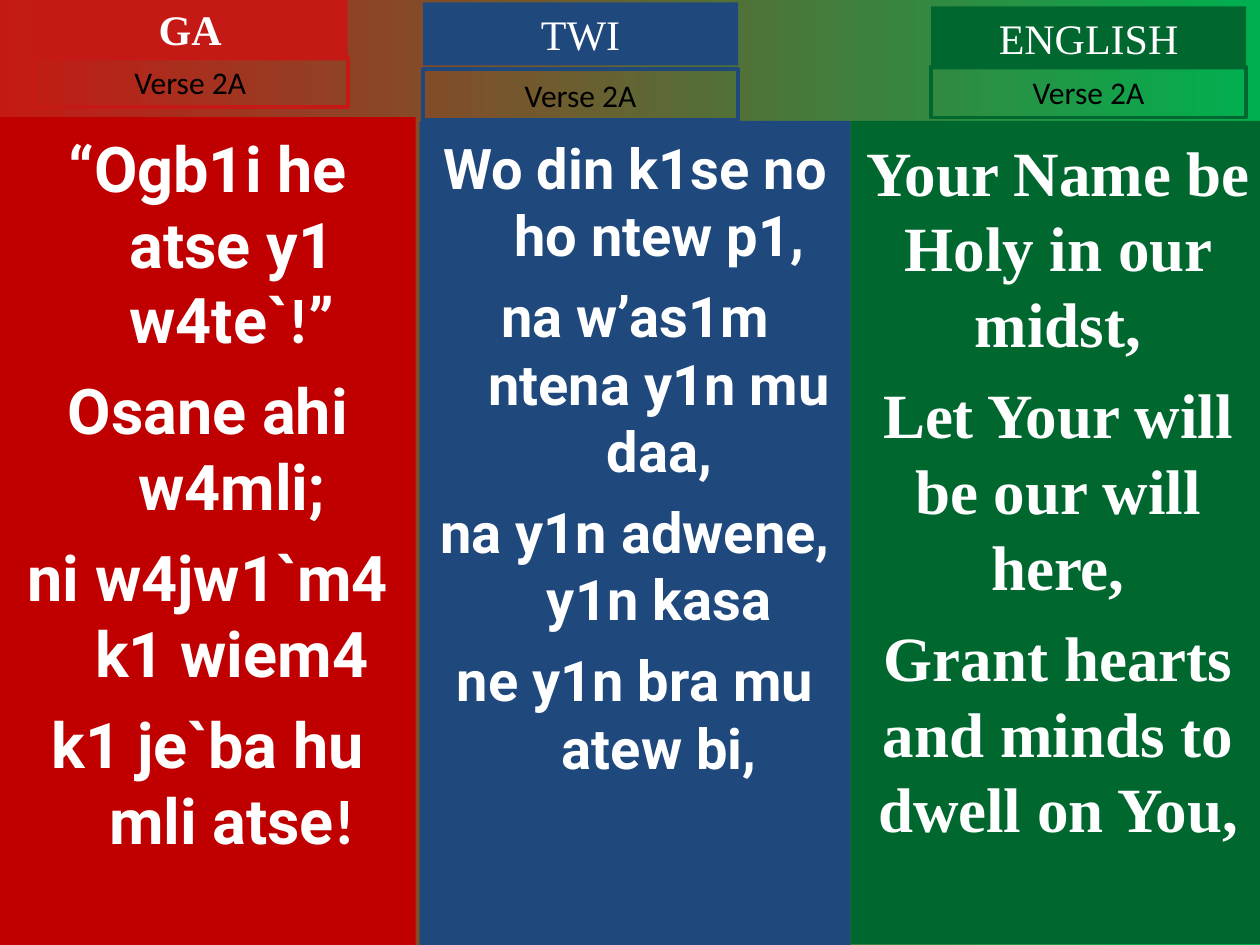
from pptx import Presentation
from pptx.dml.color import RGBColor
from pptx.enum.shapes import MSO_SHAPE
from pptx.enum.text import MSO_ANCHOR, MSO_AUTO_SIZE, PP_ALIGN
from pptx.util import Cm, Pt

RECTANGLE = MSO_SHAPE.RECTANGLE
TOP = MSO_ANCHOR.TOP
CENTER = PP_ALIGN.CENTER
GROW = MSO_AUTO_SIZE.SHAPE_TO_FIT_TEXT

COLORS = {
    "red": "C00000",
    "bright red": "C51915",
    "blue": "1F497D",
    "green": "00682F",
    "bright green": "00B050",
    "white": "FFFFFF",
    "black": "000000",
}
SERIF, SANS, BODY = "Times New Roman", "Calibri", "Roboto"
TAG_WIDTH, HEADING_HEIGHT, VERSE_HEIGHT = 6.35, 1.27, 1.02
HANGING = 0.97

# Boxes are (left, top, width, height) in cm; a verse line is a list of (text, font) runs
LANGUAGES = [
    {
        "name": "GA", "bold_name": True, "tag_color": "bright red",
        "tag_left": 0.66, "heading_top": -0.05, "verse_top": 1.14,
        "column": (0, 2.36, 8.38, 16.69), "column_color": "red",
        "size": 36, "space": 9, "indent": HANGING,
        "lines": [
            [("“Ogb1i he atse y1 w4te`", BODY), ("!", SANS), ("”", BODY)],
            [("Osane ahi w4mli;", BODY)],
            [("ni w4jw1`m4 k1 wiem4", BODY)],
            [("k1 je`ba hu mli atse", BODY), ("!", SANS)],
        ],
    },
    {
        "name": "TWI", "bold_name": False, "tag_color": "blue",
        "tag_left": 8.53, "heading_top": 0.05, "verse_top": 1.4,
        "column": (8.46, 2.44, 8.69, 16.61), "column_color": "blue",
        "size": 32, "space": 8, "indent": HANGING,
        "lines": [
            [("Wo din k1se no ho ntew p1,", BODY)],
            [("na w’as1m ntena y1n mu daa,", BODY)],
            [("na y1n adwene, y1n kasa", BODY)],
            [("ne y1n bra mu atew bi,", BODY)],
        ],
    },
    {
        "name": "ENGLISH", "bold_name": False, "tag_color": "green",
        "tag_left": 18.77, "heading_top": 0.13, "verse_top": 1.35,
        "column": (17.15, 2.44, 8.36, 16.59), "column_color": "green",
        "size": 36, "space": 9, "indent": 0,
        "lines": [
            [("Your Name be Holy in our midst,", SERIF)],
            [("Let Your will be our will here,", SERIF)],
            [("Grant hearts and minds to dwell on You,", SERIF)],
        ],
    },
]


def rgb(name):
    return RGBColor.from_string(COLORS[name])


def style_font(font, name, size, color, bold=False):
    font.name = name
    font.size = Pt(size)
    font.bold = bold
    font.color.rgb = rgb(color)


def add_box(slide, box, fill=None, line=None):
    shape = slide.shapes.add_shape(RECTANGLE, *(Cm(value) for value in box))
    shape.shadow.inherit = False
    if fill:
        shape.fill.solid()
        shape.fill.fore_color.rgb = rgb(fill)
    else:
        shape.fill.background()
    if line:
        shape.line.color.rgb = rgb(line)
        shape.line.width = Pt(2.25)
    else:
        shape.line.fill.background()
    shape.text_frame.word_wrap = True
    shape.text_frame.vertical_anchor = TOP
    return shape


def add_tag(slide, box, text, font_name, size, color, bold=False, **colors):
    """A one-line box that grows with its text."""
    text_frame = add_box(slide, box, **colors).text_frame
    text_frame.auto_size = GROW
    text_frame.text = text
    paragraph = text_frame.paragraphs[0]
    paragraph.alignment = CENTER
    style_font(paragraph.runs[0].font, font_name, size, color, bold)


def add_column(slide, language):
    """The coloured panel with the verse in one language."""
    text_frame = add_box(slide, language["column"], fill=language["column_color"]).text_frame
    text_frame.margin_top = Cm(0.25)
    for index, runs in enumerate(language["lines"]):
        paragraph = text_frame.add_paragraph() if index else text_frame.paragraphs[0]
        paragraph.alignment = CENTER
        if index:
            paragraph.space_before = Pt(language["space"])
        if language["indent"]:
            properties = paragraph._p.get_or_add_pPr()
            properties.set("marL", str(Cm(language["indent"])))
            properties.set("indent", str(-Cm(language["indent"])))
        for text, font_name in runs:
            run = paragraph.add_run()
            run.text = text
            style_font(run.font, font_name, language["size"], "white", bold=True)


def set_background(slide):
    fill = slide.background.fill
    fill.gradient()
    fill.gradient_angle = 0
    for stop, position, color in zip(fill.gradient_stops, (0, 1), ("bright red", "bright green")):
        stop.position = position
        stop.color.rgb = rgb(color)


def main():
    presentation = Presentation()
    presentation.slide_width, presentation.slide_height = Cm(25.4), Cm(19.05)
    slide = presentation.slides.add_slide(presentation.slide_layouts[6])
    set_background(slide)

    for language in LANGUAGES:
        left, color = language["tag_left"], language["tag_color"]
        # Verse text
        add_column(slide, language)
        # Language name
        add_tag(slide, (left, language["heading_top"], TAG_WIDTH, HEADING_HEIGHT),
                language["name"], SERIF, 24, "white", language["bold_name"], fill=color)
        # Verse number
        add_tag(slide, (left, language["verse_top"], TAG_WIDTH, VERSE_HEIGHT),
                "Verse 2A", SANS, 18, "black", line=color)

    presentation.save("out.pptx")


if __name__ == "__main__":
    main()
